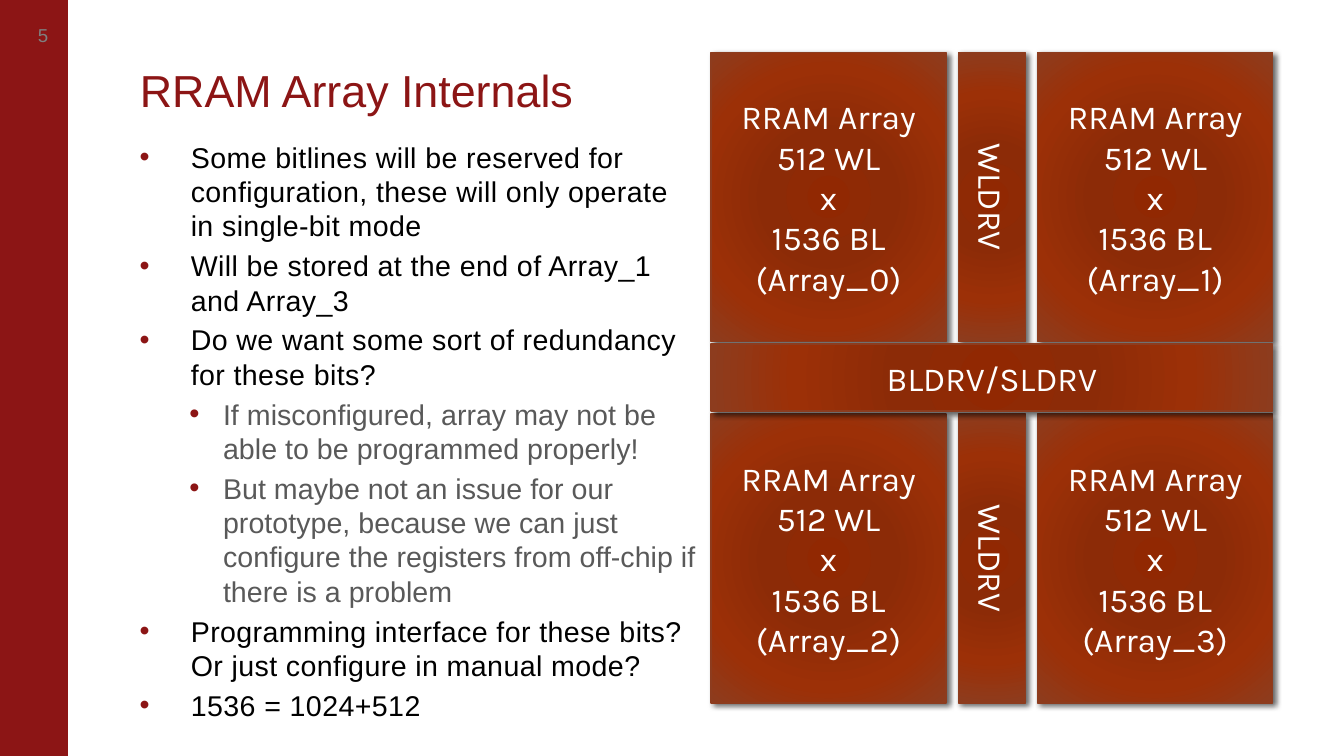
from dataclasses import dataclass

from lxml import etree
from pptx import Presentation
from pptx import util as u
from pptx.dml.color import RGBColor
from pptx.enum import shapes, text
from pptx.oxml import ns

RED, RUST, WHITE = "8C1515", "8D3C1E", "FFFFFF"
STOPS = [(0, "912802"), (34, "8C2B07"), (70, "9C3007"), (100, RUST)]
LEFT, TOP = 5.29, 0.39
WIDE, HIGH = 1.75, 2.15
STEP, DROP = 2.43, 2.69
BAR = 0.5


@dataclass
class Block:
    left: float
    top: float
    width: float
    height: float
    lines: list[str]
    turn: int = 0


@dataclass
class Point:
    words: str
    sub: bool = False


POINTS = [
    Point("Some bitlines will be reserved for configuration, these will only operate in single-bit mode"),
    Point("Will be stored at the end of Array_1 and Array_3"),
    Point("Do we want some sort of redundancy for these bits?"),
    Point("If misconfigured, array may not be able to be programmed properly!", True),
    Point("But maybe not an issue for our prototype, because we can just configure "
          "the registers from off-chip if there is a problem", True),
    Point("Programming interface for these bits? Or just configure in manual mode?"),
    Point("1536 = 1024+512"),
]


def tint(code: str) -> RGBColor:
    return RGBColor.from_string(code)


def child(node, tag: str, **attrs):
    return etree.SubElement(node, ns.qn(tag), {k: str(v) for k, v in attrs.items()})


def write(par, words: str, size=18, font="Karla", color=WHITE,
          align=text.PP_ALIGN.CENTER, track=0, lead=None, before=0) -> None:
    par.alignment = align
    par.space_before = u.Pt(before)
    if lead:
        par.line_spacing = lead
    run = par.add_run()
    run.text = words
    run.font.size = u.Pt(size)
    run.font.name = font
    run.font.color.rgb = tint(color)
    if track:
        run.font._element.set("spc", str(track))


def setup(frame, anchor, pads, wrap=True) -> None:
    frame.auto_size = text.MSO_AUTO_SIZE.NONE
    frame.word_wrap = wrap
    frame.vertical_anchor = anchor
    (frame.margin_left, frame.margin_top,
     frame.margin_right, frame.margin_bottom) = map(u.Inches, pads)


def lines(frame, items: list):
    for i, item in enumerate(items):
        yield (frame.add_paragraph() if i else frame.paragraphs[0]), item


def shade(shape) -> None:
    shape.fill.background()
    props = shape._element.spPr
    grad = etree.Element(ns.qn("a:gradFill"), rotWithShape="1")
    stops = child(grad, "a:gsLst")
    for pos, code in STOPS:
        child(child(stops, "a:gs", pos=pos * 1000), "a:srgbClr", val=code)
    ring = child(grad, "a:path", path="circle")
    child(ring, "a:fillToRect", l=100000, t=100000, r=100000, b=100000)
    props.replace(props.find(ns.qn("a:noFill")), grad)

    shape.shadow.inherit = False
    cast = child(props.find(ns.qn("a:effectLst")), "a:outerShdw",
                 blurRad=u.Pt(3), dist=u.Pt(2), dir=45 * 60000, rotWithShape=0)
    child(child(cast, "a:srgbClr", val="000000"), "a:alpha", val=60000)


def block(slide, b: Block) -> None:
    shape = slide.shapes.add_shape(
        shapes.MSO_SHAPE.RECTANGLE,
        *map(u.Inches, (b.left, b.top, b.width, b.height)))
    shape.rotation = b.turn
    shape.line.color.rgb = tint(RUST)
    shape.line.width = u.Pt(0.75)
    shade(shape)
    setup(shape.text_frame, text.MSO_ANCHOR.MIDDLE, (0.1, 0.05, 0.1, 0.05))
    for par, words in lines(shape.text_frame, b.lines):
        write(par, words)


def bullet(par, sub: bool) -> None:
    props = par._p.get_or_add_pPr()
    props.set("marL", str(u.Inches(0.62 if sub else 0.38)))
    props.set("indent", str(u.Inches(-0.25 if sub else -0.38)))
    if sub:
        props.set("lvl", "1")
    child(child(props, "a:buClr"), "a:srgbClr", val=RED)
    child(props, "a:buSzPct", val=102000 if sub else 100000)
    child(props, "a:buFont", typeface="Arial")
    child(props, "a:buChar", char="•")


def band(slide) -> None:
    strip = slide.shapes.add_shape(
        shapes.MSO_SHAPE.RECTANGLE, 0, 0, u.Inches(0.5), u.Inches(5.63))
    strip.shadow.inherit = False
    strip.fill.solid()
    strip.fill.fore_color.rgb = tint(RED)
    strip.line.color.rgb = tint(RED)
    strip.line.width = u.Pt(0.75)
    page = slide.shapes.add_textbox(*map(u.Inches, (0.07, 0.01, 0.5, 0.5)))
    setup(page.text_frame, text.MSO_ANCHOR.MIDDLE, (0.05, 0, 0.05, 0), False)
    write(page.text_frame.paragraphs[0], "5", size=10, font="Arial", color="7F7F7F")


def head(slide) -> None:
    title = slide.shapes.title
    title.left, title.top, title.width, title.height = map(
        u.Inches, (1.04, 0.39, 8.43, 0.53))
    setup(title.text_frame, text.MSO_ANCHOR.BOTTOM, (0, 0.05, 0.1, 0.05))
    write(title.text_frame.paragraphs[0], "RRAM Array Internals", size=24,
          font="Arial", color=RED, align=text.PP_ALIGN.LEFT, lead=0.85)


def body(slide) -> None:
    box = slide.shapes.add_textbox(*map(u.Inches, (1.04, 0.99, 4.14, 4.11)))
    setup(box.text_frame, text.MSO_ANCHOR.TOP, (0, 0.05, 0, 0.05))
    for par, point in lines(box.text_frame, POINTS):
        bullet(par, point.sub)
        write(par, point.words, size=15.3, font="Arial",
              color="595959" if point.sub else "000000",
              align=text.PP_ALIGN.LEFT, track=0 if point.sub else 20,
              before=0 if point is POINTS[0] else 3)


def chip(slide) -> None:
    span = STEP + WIDE
    for row in range(2):
        for col in range(2):
            name = f"(Array_{2 * row + col})"
            block(slide, Block(LEFT + col * STEP, TOP + row * DROP, WIDE, HIGH,
                               ["RRAM Array", "512 WL", "x", "1536 BL", name]))
    for row in range(2):
        block(slide, Block(LEFT + (span - HIGH) / 2,
                           TOP + row * DROP + (HIGH - BAR) / 2,
                           HIGH, BAR, ["WLDRV"], 90))
    block(slide, Block(LEFT, TOP + (DROP + HIGH - BAR) / 2, span, BAR,
                       ["BLDRV/SLDRV"]))


def main() -> None:
    deck = Presentation()
    deck.slide_width, deck.slide_height = u.Inches(10), u.Inches(10) * 9 // 16
    slide = deck.slides.add_slide(deck.slide_layouts[5])
    band(slide)
    head(slide)
    body(slide)
    chip(slide)
    deck.save("out.pptx")


if __name__ == "__main__":
    main()
